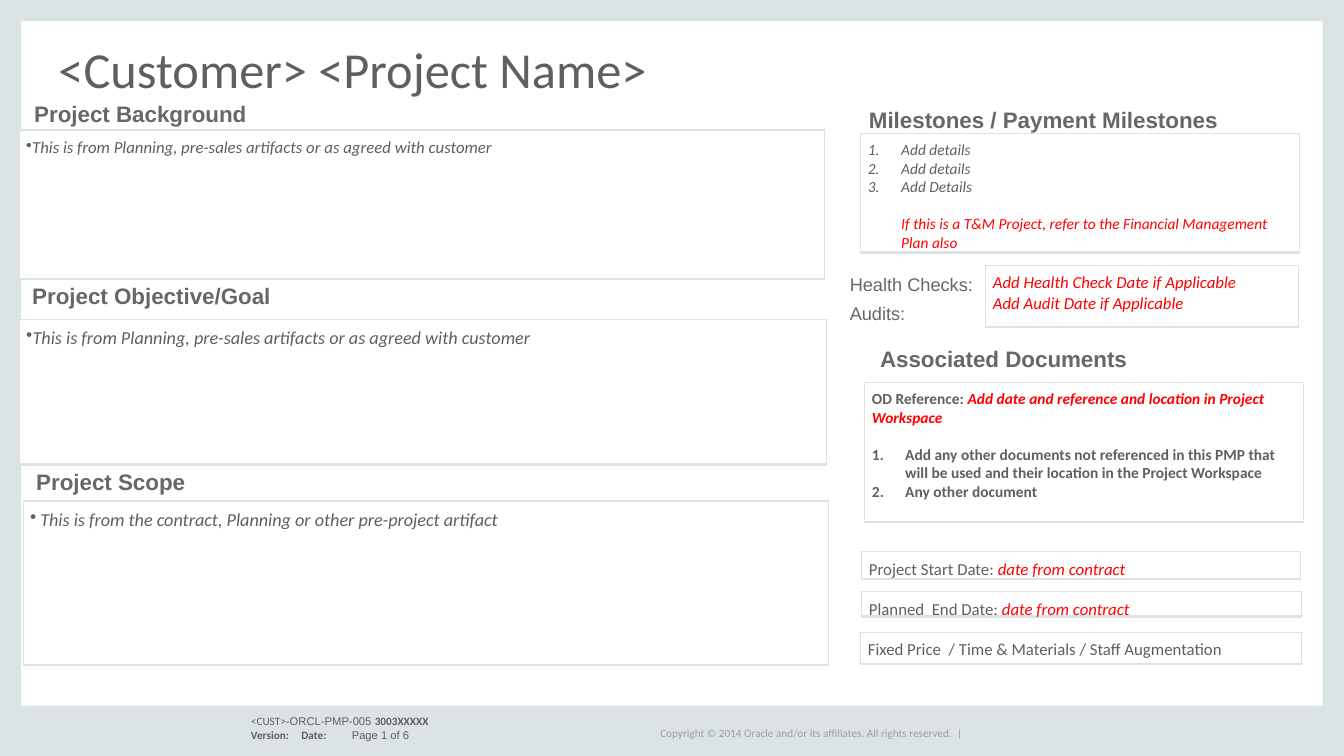
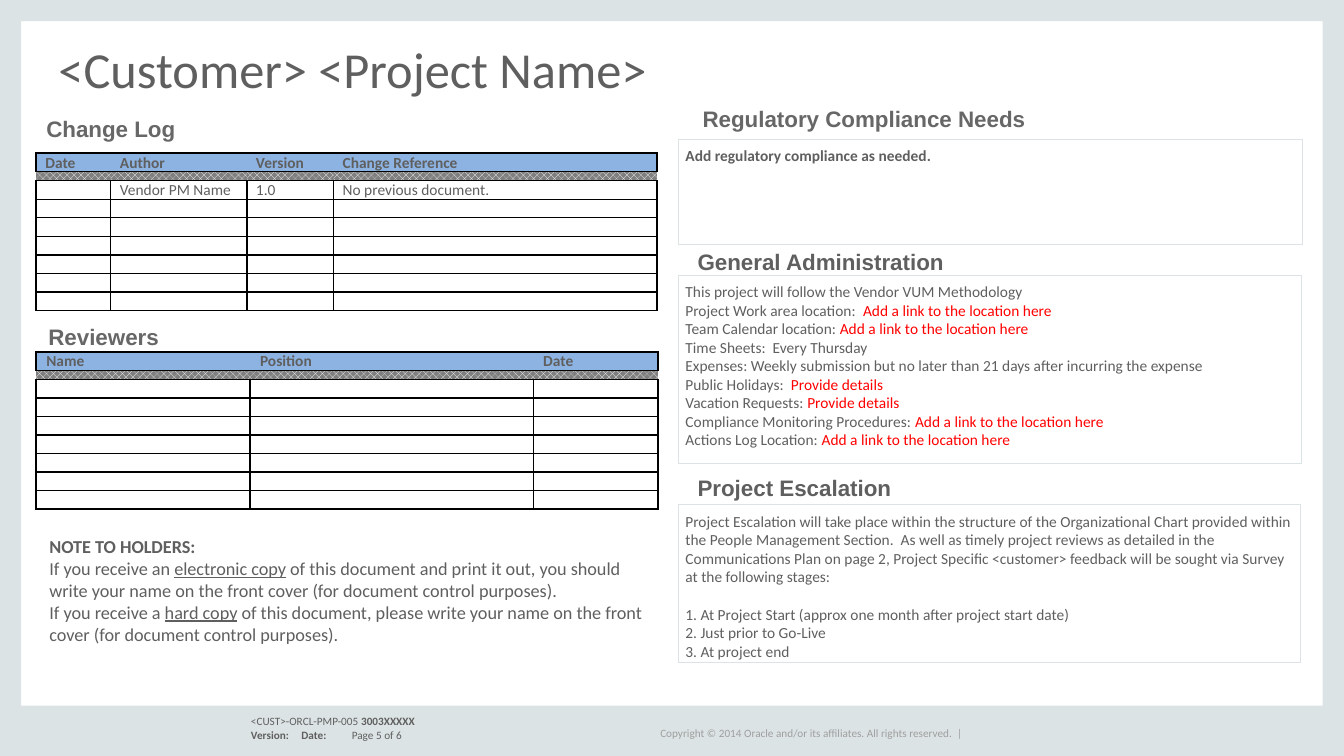
import typing

import lxml.etree
import pptx
import pptx.dml.color
import pptx.enum.dml
import pptx.enum.shapes
import pptx.enum.text
import pptx.oxml.ns
import pptx.util

COLS, ROWS = 133.33, 75
WIDE, HIGH = pptx.util.Inches(13.33), pptx.util.Inches(7.5)
PALE, WHITE, BLACK = "DCE3E4", "FFFFFF", "000000"
INK, HEAD, RED, FAINT = "5F5F5F", "676767", "FF0000", "9F9F9F"
BLUE, GRAY = "8DB3E2", "7F7F7F"
SANS, BODY = "Arial", "Calibri"
TOP = pptx.enum.text.MSO_ANCHOR.TOP
MID = pptx.enum.text.MSO_ANCHOR.MIDDLE
RECT = pptx.enum.shapes.MSO_SHAPE.RECTANGLE


class Area(typing.NamedTuple):
    col: float
    row: float
    cols: float
    rows: float


class Bit(typing.NamedTuple):
    text: str
    color: str = INK
    bold: bool = False
    ital: bool = False
    under: bool = False
    font: str = BODY


class Para(typing.NamedTuple):
    bits: list[Bit]
    mark: str = ""
    hang: float = 0
    first: float = 0
    tabs: tuple[float, ...] = ()
    gap: float = 0
    lead: float = 1


class Box(typing.NamedTuple):
    area: Area
    size: float
    paras: list[Para]
    lift: bool = True


class Title(typing.NamedTuple):
    text: str
    area: Area
    color: str = HEAD


class Log(typing.NamedTuple):
    area: Area
    cols: list[float]
    heads: list[str]
    first: list[str]
    inset: float


def across(cols: float) -> int:
    return round(WIDE * cols / COLS)


def down(rows: float) -> int:
    return round(HIGH * rows / ROWS)


def place(area: Area) -> tuple[int, int, int, int]:
    return across(area.col), down(area.row), across(area.cols), down(area.rows)


def paint(code: str) -> pptx.dml.color.RGBColor:
    return pptx.dml.color.RGBColor.from_string(code)


def node(root, tag: str, **attrs):
    part = lxml.etree.SubElement(root, pptx.oxml.ns.qn(tag))
    for name, value in attrs.items():
        part.set(name, str(value))
    return part


def style(run, bit: Bit, size: float) -> None:
    font = run.font
    font.name, font.size = bit.font, pptx.util.Pt(size)
    font.bold, font.italic, font.underline = bit.bold, bit.ital, bit.under
    font.color.rgb = paint(bit.color)


def layout(line, para: Para) -> None:
    line.alignment = pptx.enum.text.PP_ALIGN.LEFT
    if para.lead != 1:
        line.line_spacing = para.lead
    if para.gap:
        line.space_before = pptx.util.Pt(para.gap)
    props = line._p.get_or_add_pPr()
    props.set("marL", str(across(para.hang)))
    props.set("indent", str(across(para.first)))
    if para.mark == "1.":
        node(props, "a:buAutoNum", type="arabicPeriod")
    elif para.mark:
        node(props, "a:buChar", char=para.mark)
    if para.tabs:
        stops = node(props, "a:tabLst")
        for stop in para.tabs:
            node(stops, "a:tab", pos=across(stop), algn="l")


def write(frame, paras: list[Para], size: float, inset: tuple[float, float], anchor=TOP, wrap: bool = True) -> None:
    frame.word_wrap = wrap
    frame.vertical_anchor = anchor
    frame.margin_left = frame.margin_right = across(inset[0])
    frame.margin_top = frame.margin_bottom = down(inset[1])
    for index, para in enumerate(paras):
        line = frame.paragraphs[0] if index == 0 else frame.add_paragraph()
        layout(line, para)
        for bit in para.bits:
            run = line.add_run()
            run.text = bit.text
            style(run, bit, size)


def label(slide, area: Area, paras: list[Para], size: float, inset=(1.3, 0.7), anchor=TOP, wrap: bool = True) -> None:
    frame = slide.shapes.add_textbox(*place(area)).text_frame
    write(frame, paras, size, inset, anchor, wrap)


def panel(slide, box: Box) -> None:
    shape = slide.shapes.add_shape(RECT, *place(box.area))
    shape.shadow.inherit = False
    shape.fill.solid()
    shape.fill.fore_color.rgb = paint(WHITE)
    shape.line.color.rgb = paint(PALE)
    shape.line.width = pptx.util.Pt(0.75)
    if box.lift:
        effects = shape._element.spPr.find(pptx.oxml.ns.qn("a:effectLst"))
        shade = node(effects, "a:outerShdw", blurRad=0, dist=pptx.util.Pt(1), dir=5400000, algn="t", rotWithShape=0)
        node(shade, "a:srgbClr", val=PALE)
    write(shape.text_frame, box.paras, box.size, (0.7, 0.7))


def heading(slide, title: Title) -> None:
    bit = Bit(title.text, title.color, bold=True, font=SANS)
    label(slide, title.area, [Para([bit])], 16)


def border(cell, widths: dict[str, float]) -> None:
    props = cell._tc.get_or_add_tcPr()
    for side in "LRTB":
        width = widths.get(side, 0)
        line = node(props, "a:ln" + side, w=pptx.util.Pt(width))
        if width:
            node(node(line, "a:solidFill"), "a:srgbClr", val=BLACK)
        else:
            node(line, "a:noFill")


def edges(row: int, col: int, last_row: int, last_col: int) -> dict[str, float]:
    sides = {"T": 1.5 if row == 0 else 1, "B": 1.5 if row == last_row else 1}
    inner = 1 if row > 1 else 0
    if row != 1:
        sides["L"] = 1.5 if col == 0 else inner
        sides["R"] = 1.5 if col == last_col else inner
    return sides


def shade(cell, row: int) -> None:
    if row == 0:
        cell.fill.solid()
        cell.fill.fore_color.rgb = paint(BLUE)
    elif row == 1:
        cell.fill.patterned()
        cell.fill.pattern = pptx.enum.dml.MSO_PATTERN.PERCENT_50
        cell.fill.fore_color.rgb = paint(WHITE)
        cell.fill.back_color.rgb = paint(GRAY)
    else:
        cell.fill.background()


def grid(slide, log: Log) -> None:
    heights = [1.8, 0.9] + [1.8] * 7
    table = slide.shapes.add_table(len(heights), len(log.cols), *place(log.area)).table
    table.first_row = table.horz_banding = False
    for column, width in zip(table.columns, log.cols):
        column.width = across(width)
    texts = {0: log.heads, 2: log.first}
    for row, height in enumerate(heights):
        table.rows[row].height = down(height)
        for col in range(len(log.cols)):
            cell = table.cell(row, col)
            border(cell, edges(row, col, len(heights) - 1, len(log.cols) - 1))
            shade(cell, row)
            cell.margin_left = cell.margin_right = across(log.inset)
            cell.margin_top = cell.margin_bottom = 0
            line = cell.text_frame.paragraphs[0]
            text = texts.get(row, [""] * len(log.cols))[col]
            if text:
                line.text = text
                style(line.runs[0], Bit(text, bold=row == 0), 11)
            else:
                node(line._p, "a:endParaRPr", sz=500 if row == 1 else 1100)


def start(deck, page: int, code: list[Bit], font: str):
    slide = deck.slides.add_slide(deck.slide_layouts[5])
    for area in (Area(0, 0, 2.1, ROWS), Area(131.2, 0, 2.13, ROWS), Area(0, 70, COLS, 5), Area(0, 0, COLS, 2.1)):
        band = slide.shapes.add_shape(RECT, *place(area))
        band.shadow.inherit = False
        band.fill.solid()
        band.fill.fore_color.rgb = paint(PALE)
        band.line.fill.background()
    rights = Bit("Copyright © 2014 Oracle and/or its affiliates. All rights reserved.  |", FAINT)
    label(slide, Area(65.5, 71.7, 30.5, 2), [Para([rights])], 8, (0, 0), MID, False)
    version = [Bit("Version:\tDate:\t", bold=True), Bit(f"Page {page} of 6", font=font)]
    number = Bit("3003XXXXX", bold=True)
    label(slide, Area(23.6, 70.2, 42.2, 4), [Para(code + [number]), Para(version, tabs=(7.5, 20))], 8)
    title = slide.shapes.title
    title.left, title.top, title.width, title.height = place(Area(5.8, 0, 121.7, 9.7))
    title.text_frame.auto_size = pptx.enum.text.MSO_AUTO_SIZE.NONE
    name = Para([Bit("<Customer> <Project Name>")], lead=0.8)
    write(title.text_frame, [name], 36, (0, 0), pptx.enum.text.MSO_ANCHOR.BOTTOM)
    return slide


def item(text: str, **looks) -> Para:
    return Para([Bit(text, **looks)], "1.", 3.3, -3.3)


def pair(name: str, value: str, ital: bool = False) -> Para:
    return Para([Bit(name), Bit(value, RED, ital=ital)])


def summary(deck) -> None:
    slide = start(deck, 1, [Bit("<CUST>"), Bit("-ORCL-PMP-005 ", font=SANS)], SANS)
    origin = Para([Bit("This is from Planning, pre-sales artifacts or as agreed with customer", ital=True)], "•")
    scope = Para([Bit("This is from the contract, Planning or other pre-project artifact", ital=True)], "•", 1, -1)
    terms = "If this is a T&M Project, refer to the Financial Management Plan also"
    papers = "Add any other documents not referenced in this PMP that will be used and their location in the Project Workspace"
    place_note = Bit("Add date and reference and location in Project Workspace", RED, True, True)
    for title in (
        Title("Project Background", Area(2.1, 9.2, 45.6, 4)),
        Title("Project Objective/Goal", Area(1.9, 27.3, 27.5, 4)),
        Title("Project Scope", Area(2.3, 45.7, 79.5, 4)),
        Title("Milestones / Payment Milestones", Area(84.9, 9.8, 44, 4)),
        Title("Associated Documents", Area(86, 33.5, 34.8, 4)),
    ):
        heading(slide, title)
    for box in (
        Box(Area(1.9, 12.9, 79.9, 14.7), 12, [origin]),
        Box(Area(1.9, 31.7, 80.1, 14.3), 13, [origin]),
        Box(Area(2.3, 49.7, 79.9, 16.2), 13, [scope]),
        Box(Area(85.4, 13.2, 43.5, 11.8), 11,
            [item(text, ital=True) for text in ("Add details", "Add details", "Add Details")]
            + [Para([Bit(terms, RED, ital=True)], hang=3.3, gap=13.4)]),
        Box(Area(97.8, 26.3, 31, 6.1), 12,
            [Para([Bit(text, RED, ital=True)])
             for text in ("Add Health Check Date if Applicable", "Add Audit Date if Applicable")]),
        Box(Area(85.8, 37.9, 43.5, 13.8), 11,
            [Para([Bit("OD Reference: ", bold=True), place_note]),
             item(papers, bold=True)._replace(gap=13.4), item("Any other document", bold=True)]),
        Box(Area(85.5, 54.7, 43.5, 2.7), 12, [pair("Project Start Date: ", "date from contract", True)]),
        Box(Area(85.5, 58.7, 43.6, 2.4), 12, [pair("Planned  End Date: ", "date from contract", True)]),
        Box(Area(85.4, 62.7, 43.7, 3.1), 12, [Para([Bit("Fixed Price  / Time & Materials / Staff Augmentation")])]),
    ):
        panel(slide, box)
    checks = [Para([Bit(text, HEAD, font=SANS)], lead=1.33) for text in ("Health Checks:", "Audits:")]
    label(slide, Area(83, 25.7, 15.4, 7.2), checks, 13)


def control(deck) -> None:
    slide = start(deck, 5, [Bit("<CUST>-ORCL-PMP-005 ")], BODY)
    link, detail = "Add a link to the location here", "Provide details"
    admin = [
        Para([Bit("This project will follow the Vendor VUM Methodology")]),
        pair("Project Work area location:  ", link),
        pair("Team Calendar location: ", link),
        Para([Bit("Time Sheets:  Every Thursday")]),
        Para([Bit("Expenses: Weekly submission but no later than 21 days after incurring the expense")]),
        pair("Public Holidays:  ", detail),
        pair("Vacation Requests: ", detail),
        pair("Compliance Monitoring Procedures: ", link),
        pair("Actions Log Location: ", link),
    ]
    survey = "Project Escalation will take place within the structure of the Organizational Chart provided within the People Management Section.  As well as timely project reviews as detailed in the Communications Plan on page 2, Project Specific <customer> feedback will be sought via Survey at the following stages:"
    stages = ("At Project Start (approx one month after project start date)", "Just prior to Go-Live", "At project end")
    steps = [Para([Bit(text)], "1.", 1.5, -1.5, gap=0 if index else 13.4) for index, text in enumerate(stages)]
    for box in (
        Box(Area(67.3, 13.8, 61.9, 10.5), 11, [Para([Bit("Add regulatory compliance as needed.", bold=True)])], False),
        Box(Area(67.3, 27.3, 61.8, 18.7), 11, admin, False),
        Box(Area(67.3, 50.1, 61.7, 15.6), 11, [Para([Bit(survey)])] + steps, False),
    ):
        panel(slide, box)
    for title in (
        Title("Change Log", Area(3.3, 10.7, 45.6, 4)),
        Title("Reviewers", Area(3.5, 31.4, 45.6, 4)),
        Title("Regulatory Compliance Needs", Area(68.4, 9.7, 40, 4)),
        Title("General Administration", Area(67.9, 23.9, 34, 4), INK),
        Title("Project Escalation", Area(67.9, 46.3, 35.5, 4), INK),
    ):
        heading(slide, title)
    grid(slide, Log(Area(3.6, 15.2, 61.7, 15.6), [7.4, 13.5, 8.6, 32.1],
                    ["Date", "Author", "Version", "Change Reference"],
                    ["", "Vendor PM Name", "1.0", "No previous document."], 0.9))
    grid(slide, Log(Area(3.6, 34.9, 61.7, 15.6), [21.2, 28.1, 12.4],
                    ["Name", "Position", "Date"], [""] * 3, 1))
    notes = [Para([Bit("NOTE TO HOLDERS:", bold=True)])]
    for kind, rest in (
        ("electronic copy", " of this document and print it out, you should write your name on the front cover (for document control purposes)."),
        ("hard copy", " of this document, please write your name on the front cover (for document control purposes)."),
    ):
        notes.append(Para([Bit("If you receive a" + ("n " if kind[0] == "e" else " ")), Bit(kind, under=True), Bit(rest)]))
    label(slide, Area(3.6, 52.4, 62.2, 12.3), notes, 13, anchor=MID)


def main() -> None:
    deck = pptx.Presentation()
    deck.slide_width, deck.slide_height = WIDE, HIGH
    summary(deck)
    control(deck)
    deck.save("out.pptx")


if __name__ == "__main__":
    main()
